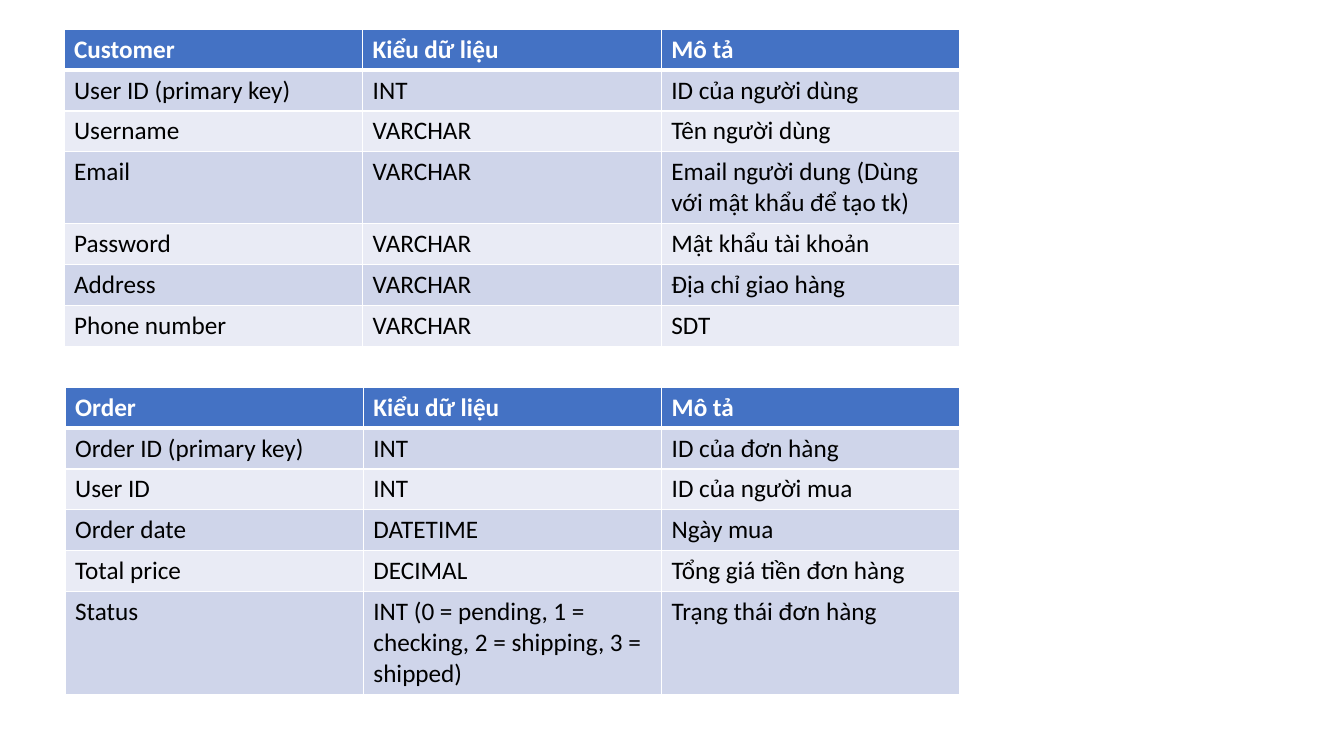
from dataclasses import dataclass

from lxml.etree import SubElement
from pptx import Presentation
from pptx.dml.color import RGBColor as RGB
from pptx.oxml.ns import qn
from pptx.util import Emu, Pt

PX = 9070


@dataclass(frozen=True)
class Theme:
    """Colours, type and line sizes of the slide."""
    font: str = "Calibri"
    size: int = 18
    header: str = "4472C4"
    bands: tuple = ("CFD5EA", "E9EBF5")
    header_text: str = "FFFFFF"
    body_text: str = "000000"
    border: str = "FFFFFF"
    thin: int = 1
    thick: int = 3


THEME = Theme()
HEADINGS = ("Kiểu dữ liệu", "Mô tả")
PADDING, LINE = 10, 31

CUSTOMER = [
    ("Customer", *HEADINGS),
    ("User ID (primary key)", "INT", "ID của người dùng"),
    ("Username", "VARCHAR", "Tên người dùng"),
    ("Email", "VARCHAR", "Email người dung (Dùng với mật khẩu để tạo tk)"),
    ("Password", "VARCHAR", "Mật khẩu tài khoản"),
    ("Address", "VARCHAR", "Địa chỉ giao hàng"),
    ("Phone number", "VARCHAR", "SDT"),
]
ORDER = [
    ("Order", *HEADINGS),
    ("Order ID (primary key)", "INT", "ID của đơn hàng"),
    ("User ID", "INT", "ID của người mua"),
    ("Order date", "DATETIME", "Ngày mua"),
    ("Total price", "DECIMAL", "Tổng giá tiền đơn hàng"),
    ("Status", "INT (0 = pending, 1 = checking, 2 = shipping, 3 = shipped)",
     "Trạng thái đơn hàng"),
]


def px(n):
    """Turn pixels into EMU."""
    return Emu(n * PX)


def add_borders(cell, top, bottom):
    """Draw the four cell borders, with the given top and bottom widths."""
    tc_pr = cell._tc.get_or_add_tcPr()
    widths = {"L": THEME.thin, "R": THEME.thin, "T": top, "B": bottom}
    for i, (side, width) in enumerate(widths.items()):
        ln = SubElement(tc_pr, qn(f"a:ln{side}"), w=str(Pt(width)))
        fill = SubElement(ln, qn("a:solidFill"))
        SubElement(fill, qn("a:srgbClr"), val=THEME.border)
        tc_pr.insert(i, ln)


def format_cell(cell, text, row):
    """Write one cell and style it by its row number."""
    is_header = row == 0
    cell.text_frame.text = text
    font = cell.text_frame.paragraphs[0].runs[0].font
    font.name, font.size, font.bold = THEME.font, Pt(THEME.size), is_header
    font.color.rgb = RGB.from_string(THEME.header_text if is_header else THEME.body_text)
    cell.fill.solid()
    cell.fill.fore_color.rgb = RGB.from_string(
        THEME.header if is_header else THEME.bands[(row - 1) % 2])
    add_borders(cell, THEME.thick if row == 1 else THEME.thin,
                THEME.thick if is_header else THEME.thin)


def add_entity(s, box, rows, tall_rows):
    """Place an entity table in box; tall_rows maps row numbers to line counts."""
    x, y, w, h = box
    n_cols = len(rows[0])
    table = s.shapes.add_table(len(rows), n_cols, px(x), px(y), px(w), px(h)).table
    for column in table.columns:
        column.width = px(w) // n_cols
    for i, texts in enumerate(rows):
        table.rows[i].height = px(PADDING + LINE * tall_rows.get(i, 1))
        for j, text in enumerate(texts):
            format_cell(table.cell(i, j), text, i)


prs = Presentation()
prs.slide_width, prs.slide_height = px(1344), px(756)
s = prs.slides.add_slide(prs.slide_layouts[6])
add_entity(s, (64, 29, 896, 318), CUSTOMER, {3: 2})
add_entity(s, (65, 387, 895, 308), ORDER, {5: 3})
prs.save("out.pptx")
